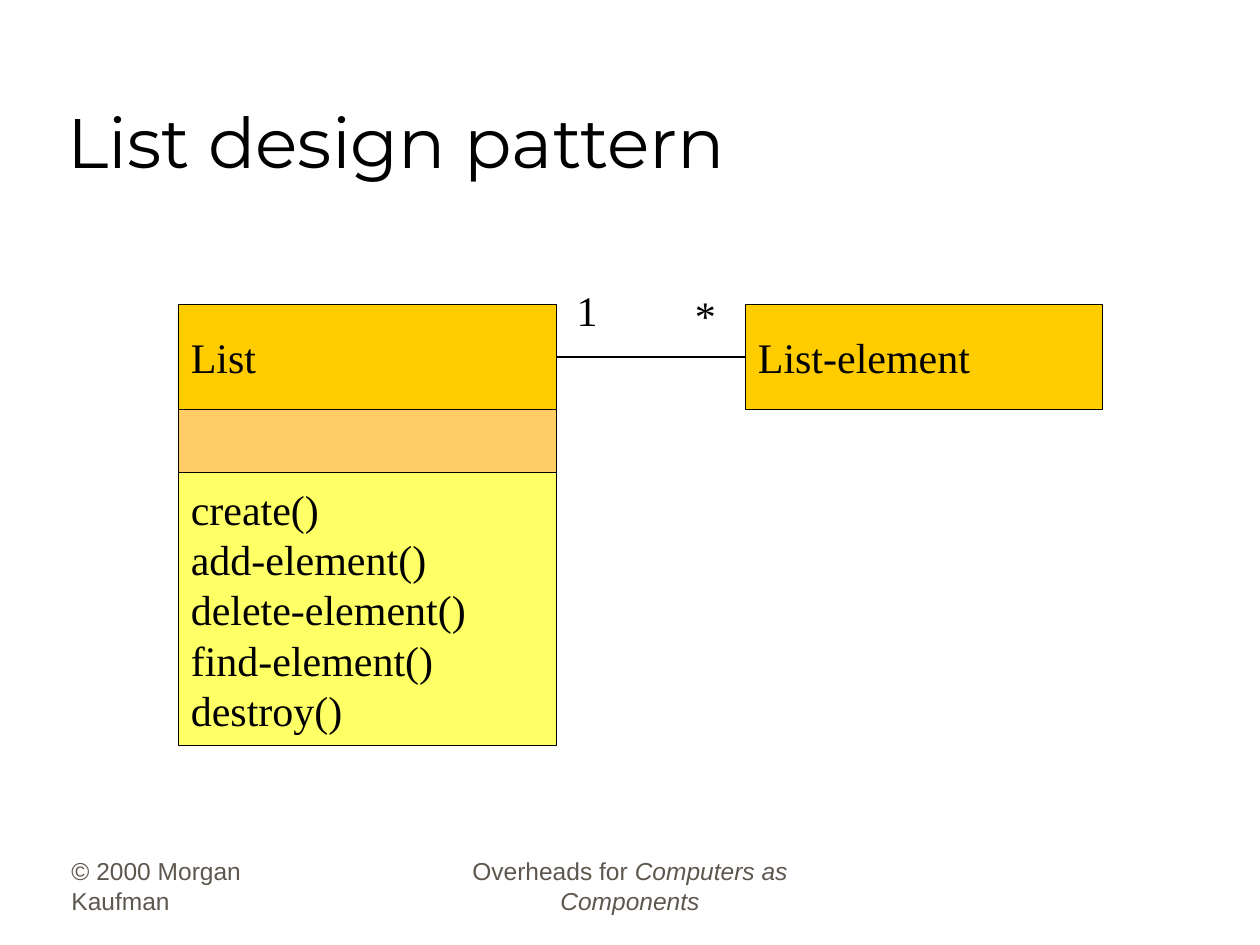
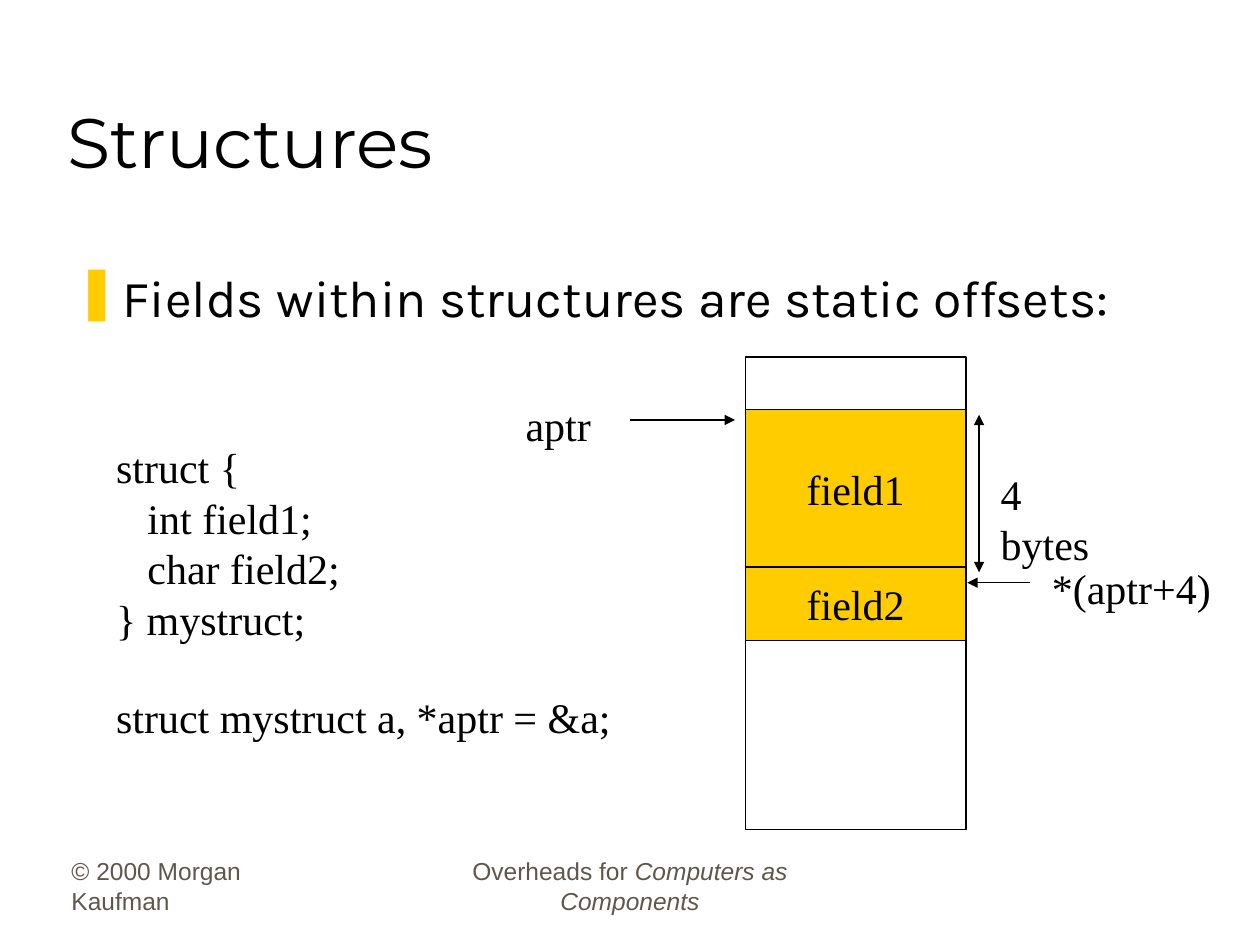
from dataclasses import dataclass
from typing import Optional

from lxml import etree
from pptx import Presentation
from pptx.dml.color import RGBColor
from pptx.enum.shapes import MSO_CONNECTOR, MSO_SHAPE
from pptx.enum.text import MSO_ANCHOR, MSO_AUTO_SIZE, PP_ALIGN
from pptx.oxml.ns import qn
from pptx.util import Emu, Pt

RECTANGLE = MSO_SHAPE.RECTANGLE
STRAIGHT = MSO_CONNECTOR.STRAIGHT
TOP, MIDDLE, BOTTOM = MSO_ANCHOR.TOP, MSO_ANCHOR.MIDDLE, MSO_ANCHOR.BOTTOM
LEFT, CENTER = PP_ALIGN.LEFT, PP_ALIGN.CENTER
FIT_SHAPE, FIXED = MSO_AUTO_SIZE.SHAPE_TO_FIT_TEXT, MSO_AUTO_SIZE.NONE
LEFT_SIDE, RIGHT_SIDE = 1, 3
EMU_PER_PX = 9525


@dataclass(frozen=True)
class TextStyle:
    font: str
    size: float
    color: str


@dataclass(frozen=True)
class Theme:
    black: str = "000000"
    gold: str = "FFCC00"
    apricot: str = "FFCC66"
    yellow: str = "FFFF66"
    line_width: float = 0.75
    title: TextStyle = TextStyle("Montserrat", 40, "000000")
    body: TextStyle = TextStyle("Karla", 29.6, "000000")
    diagram: TextStyle = TextStyle("Times New Roman", 24, "000000")
    footer: TextStyle = TextStyle("Arial", 14, "5E574E")


THEME = Theme()


@dataclass(frozen=True)
class Span:
    text: str
    italic: bool = False


@dataclass(frozen=True)
class Para:
    spans: tuple[Span, ...]
    space_before: float = 0


@dataclass(frozen=True)
class Area:
    left: int
    top: int
    width: int
    height: int


@dataclass(frozen=True)
class Block:
    """A bordered rectangle of a diagram."""
    area: Area
    fill: Optional[str] = None
    lines: tuple[str, ...] = ()
    align: PP_ALIGN = LEFT


@dataclass(frozen=True)
class Arrow:
    start: tuple[int, int]
    end: tuple[int, int]
    head: bool = False
    tail: bool = False


TITLE_AREA = Area(42, 24, 816, 120)
BULLET_AREA = Area(48, 198, 858, 66)
COPYRIGHT_AREA = Area(45, 654, 200, 48)
BOOK_AREA = Area(328, 654, 304, 48)


def px(length: int) -> Emu:
    return Emu(length * EMU_PER_PX)


def place(area: Area) -> tuple[Emu, ...]:
    return tuple(px(n) for n in (area.left, area.top, area.width, area.height))


def plain(*lines: str) -> tuple[Para, ...]:
    return tuple(Para((Span(line),)) for line in lines)


# Text
def write(frame, paras: tuple[Para, ...], style: TextStyle, align=LEFT,
          anchor=TOP, wrap=False, fit=FIXED) -> None:
    frame_format = {"word_wrap": wrap, "auto_size": fit, "vertical_anchor": anchor}
    for name, value in frame_format.items():
        setattr(frame, name, value)
    for index, para in enumerate(paras):
        paragraph = frame.add_paragraph() if index else frame.paragraphs[0]
        paragraph.alignment = align
        if para.space_before:
            paragraph.space_before = Pt(para.space_before)
        for span in para.spans:
            run = paragraph.add_run()
            run.text = span.text
            font_format = {"name": style.font, "size": Pt(style.size),
                           "italic": span.italic}
            for name, value in font_format.items():
                setattr(run.font, name, value)
            run.font.color.rgb = RGBColor.from_string(style.color)


def add_text(page, area: Area, paras: tuple[Para, ...], style: TextStyle, **layout):
    box = page.shapes.add_textbox(*place(area))
    write(box.text_frame, paras, style, **layout)
    return box


def add_label(page, area: Area, paras: tuple[Para, ...]) -> None:
    add_text(page, area, paras, THEME.diagram, fit=FIT_SHAPE)


def add_bullet(page, text: str) -> None:
    box = add_text(page, BULLET_AREA, plain(text), THEME.body, wrap=True)
    properties = box.text_frame.paragraphs[0]._p.get_or_add_pPr()
    indent = px(36)
    properties.set("marL", str(indent))
    properties.set("indent", str(-indent))
    color = etree.SubElement(properties, qn("a:buClr"))
    etree.SubElement(color, qn("a:srgbClr"), val=THEME.gold)
    etree.SubElement(properties, qn("a:buChar"), char="❚")


# Shapes and lines
def draw_line(line) -> None:
    line.color.rgb = RGBColor.from_string(THEME.black)
    line.width = Pt(THEME.line_width)


def add_block(page, block: Block):
    shape = page.shapes.add_shape(RECTANGLE, *place(block.area))
    shape.shadow.inherit = False
    if block.fill:
        shape.fill.solid()
        shape.fill.fore_color.rgb = RGBColor.from_string(block.fill)
    else:
        shape.fill.background()
    draw_line(shape.line)
    if block.lines:
        write(shape.text_frame, plain(*block.lines), THEME.diagram,
              align=block.align, anchor=MIDDLE)
    return shape


def add_arrow(page, arrow: Arrow):
    points = (px(n) for n in arrow.start + arrow.end)
    connector = page.shapes.add_connector(STRAIGHT, *points)
    draw_line(connector.line)
    outline = connector.line._get_or_add_ln()
    for tag, shown in (("a:headEnd", arrow.head), ("a:tailEnd", arrow.tail)):
        if shown:
            etree.SubElement(outline, qn(tag), type="triangle")
    etree.SubElement(connector._element.spPr, qn("a:effectLst"))
    return connector


# Title and footers shared by all pages
def add_page(deck, title: str):
    page = deck.slides.add_slide(deck.slide_layouts[6])
    add_text(page, COPYRIGHT_AREA, plain("© 2000 Morgan Kaufman"), THEME.footer,
             anchor=BOTTOM, wrap=True)
    book = Para((Span("Overheads for "), Span("Computers as Components", italic=True)))
    add_text(page, BOOK_AREA, (book,), THEME.footer,
             align=CENTER, anchor=BOTTOM, wrap=True)
    add_text(page, TITLE_AREA, plain(title), THEME.title, anchor=BOTTOM, wrap=True)
    return page


def add_list_page(deck) -> None:
    page = add_page(deck, "List design pattern")

    # Class boxes
    methods = ("create()", "add-element()", "delete-element()",
               "find-element()", "destroy()")
    list_name = add_block(page, Block(Area(136, 232, 288, 80), THEME.gold, ("List",)))
    add_block(page, Block(Area(136, 312, 288, 48), THEME.apricot))
    add_block(page, Block(Area(136, 360, 288, 208), THEME.yellow, methods))
    element = add_block(page, Block(Area(568, 232, 272, 80), THEME.gold,
                                    ("List-element",)))

    # One-to-many association
    association = add_arrow(page, Arrow((424, 272), (568, 272)))
    association.begin_connect(list_name, RIGHT_SIDE)
    association.end_connect(element, LEFT_SIDE)
    add_label(page, Area(430, 212, 35, 48), plain("1"))
    add_label(page, Area(520, 216, 35, 48), plain("*"))


def add_structures_page(deck) -> None:
    page = add_page(deck, "Structures")
    add_bullet(page, "Fields within structures are static offsets:")

    # Memory column
    memory = (
        Block(Area(568, 312, 168, 120), THEME.gold, ("field1",), CENTER),
        Block(Area(568, 432, 168, 56), THEME.gold, ("field2",), CENTER),
        Block(Area(568, 272, 168, 360)),
    )
    for block in memory:
        add_block(page, block)

    # Code, with a one-line gap before the declaration
    declaration = Para((Span("struct mystruct a, *aptr = &a;"),), space_before=27.6)
    code = plain("struct {", "   int field1;", "   char field2;", "} mystruct;")
    add_label(page, Area(79, 332, 396, 278), code + (declaration,))

    # Pointers and field size
    pointers = (
        (Arrow((480, 320), (560, 320), tail=True), "aptr", Area(391, 300, 69, 48)),
        (Arrow((746, 316), (746, 436), head=True, tail=True), "4 bytes",
         Area(753, 352, 110, 48)),
        (Arrow((785, 444), (737, 444), tail=True), "*(aptr+4)",
         Area(792, 424, 140, 48)),
    )
    for arrow, text, area in pointers:
        add_arrow(page, arrow)
        add_label(page, area, plain(text))


def main() -> None:
    deck = Presentation()
    deck.slide_width, deck.slide_height = px(960), px(720)
    add_list_page(deck)
    add_structures_page(deck)
    deck.save("out.pptx")


if __name__ == "__main__":
    main()
